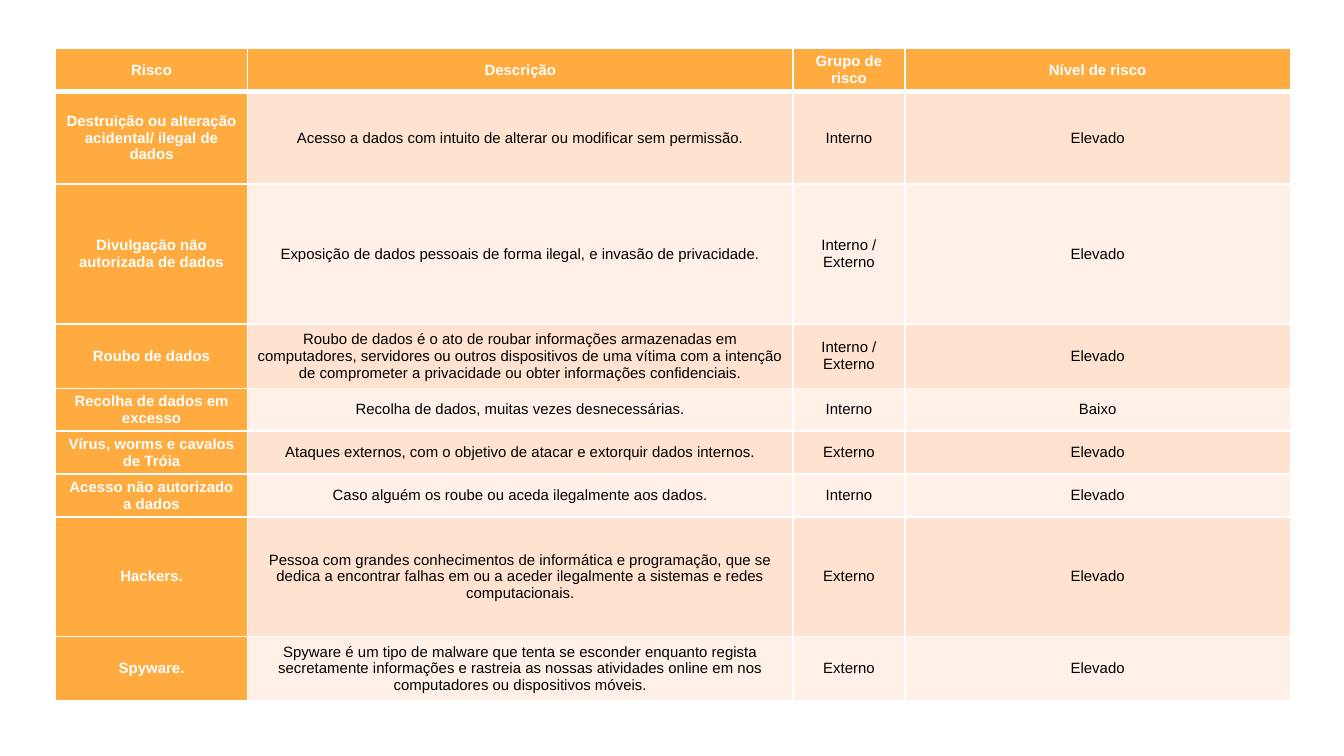
"""Builds a slide with a table of data security risks and their levels."""
import lxml.etree
import pptx
import pptx.dml.color
import pptx.enum.text
import pptx.oxml.ns
import pptx.util

Cm = pptx.util.Cm
Pt = pptx.util.Pt
RGBColor = pptx.dml.color.RGBColor
qn = pptx.oxml.ns.qn

WHITE = RGBColor(0xFF, 0xFF, 0xFF)
BLACK = RGBColor(0x00, 0x00, 0x00)
ORANGE = RGBColor(0xFF, 0xAB, 0x40)
PEACH = RGBColor(0xFF, 0xE2, 0xCF)
CREAM = RGBColor(0xFF, 0xF1, 0xE8)

COLUMN_WIDTHS = [3.63, 10.31, 2.11, 7.29]
ROW_HEIGHTS = [0.81, 1.75, 2.64, 1.22, 0.81, 0.81, 0.81, 2.26, 1.22]
RISKS = [
    ("Risco", "Descrição", "Grupo de risco", "Nível de risco"),
    ("Destruição ou alteração acidental/ ilegal de dados",
     "Acesso a dados com intuito de alterar ou modificar sem permissão.",
     "Interno", "Elevado"),
    ("Divulgação não autorizada de dados",
     "Exposição de dados pessoais de forma ilegal, e invasão de privacidade.",
     "Interno / Externo", "Elevado"),
    ("Roubo de dados",
     "Roubo de dados é o ato de roubar informações armazenadas em computadores, "
     "servidores ou outros dispositivos de uma vítima com a intenção de "
     "comprometer a privacidade ou obter informações confidenciais.",
     "Interno / Externo", "Elevado"),
    ("Recolha de dados em excesso",
     "Recolha de dados, muitas vezes desnecessárias.",
     "Interno", "Baixo"),
    ("Vírus, worms e cavalos de Tróia",
     "Ataques externos, com o objetivo de atacar e extorquir dados internos.",
     "Externo", "Elevado"),
    ("Acesso não autorizado a dados",
     "Caso alguém os roube ou aceda ilegalmente aos dados.",
     "Interno", "Elevado"),
    ("Hackers.",
     "Pessoa com grandes conhecimentos de informática e programação, que se "
     "dedica a encontrar falhas em ou a aceder ilegalmente a sistemas e redes "
     "computacionais.",
     "Externo", "Elevado"),
    ("Spyware.",
     "Spyware é um tipo de malware que tenta se esconder enquanto regista "
     "secretamente informações e rastreia as nossas atividades online em nos "
     "computadores ou dispositivos móveis.",
     "Externo", "Elevado"),
]


class SlideBuilder:
    def __init__(self, slide, font_name="Arial", font_size=8):
        self.slide = slide
        self.font_name = font_name
        self.font_size = Pt(font_size)

    def add_table(self, left, top, widths, heights, rows):
        frame = self.slide.shapes.add_table(
            len(rows), len(widths), Cm(left), Cm(top), Cm(sum(widths)), Cm(sum(heights)))
        table = frame.table
        for column, width in zip(table.columns, widths):
            column.width = Cm(width)
        for row, height in zip(table.rows, heights):
            row.height = Cm(height)
        for row_index, texts in enumerate(rows):
            band = PEACH if row_index % 2 else CREAM
            for column_index, text in enumerate(texts):
                heading = row_index == 0 or column_index == 0
                cell = table.cell(row_index, column_index)
                self.add_borders(cell, top=3 if row_index == 1 else 1,
                                 bottom=3 if row_index == 0 else 1)
                self.fill_cell(cell, text, ORANGE if heading else band, heading)

    def add_borders(self, cell, top, bottom):
        properties = cell._tc.get_or_add_tcPr()
        for side, width in (("L", 1), ("R", 1), ("T", top), ("B", bottom)):
            line = lxml.etree.SubElement(properties, qn(f"a:ln{side}"), w=str(Pt(width)))
            fill = lxml.etree.SubElement(line, qn("a:solidFill"))
            lxml.etree.SubElement(fill, qn("a:srgbClr"), val=str(WHITE))

    def fill_cell(self, cell, text, color, heading):
        cell.fill.solid()
        cell.fill.fore_color.rgb = color
        cell.vertical_anchor = pptx.enum.text.MSO_ANCHOR.MIDDLE
        cell.margin_left = cell.margin_right = Cm(0.15)
        cell.margin_top = cell.margin_bottom = 0
        cell.text = text
        paragraph = cell.text_frame.paragraphs[0]
        paragraph.alignment = pptx.enum.text.PP_ALIGN.CENTER
        paragraph.font.name = self.font_name
        paragraph.font.size = self.font_size
        paragraph.font.bold = heading
        paragraph.font.color.rgb = WHITE if heading else BLACK


def main():
    presentation = pptx.Presentation()
    presentation.slide_width = Cm(25.4)
    presentation.slide_height = Cm(14.29)
    slide = presentation.slides.add_slide(presentation.slide_layouts[6])
    builder = SlideBuilder(slide)
    builder.add_table(1.05, 0.92, COLUMN_WIDTHS, ROW_HEIGHTS, RISKS)
    presentation.save("out.pptx")


if __name__ == "__main__":
    main()
